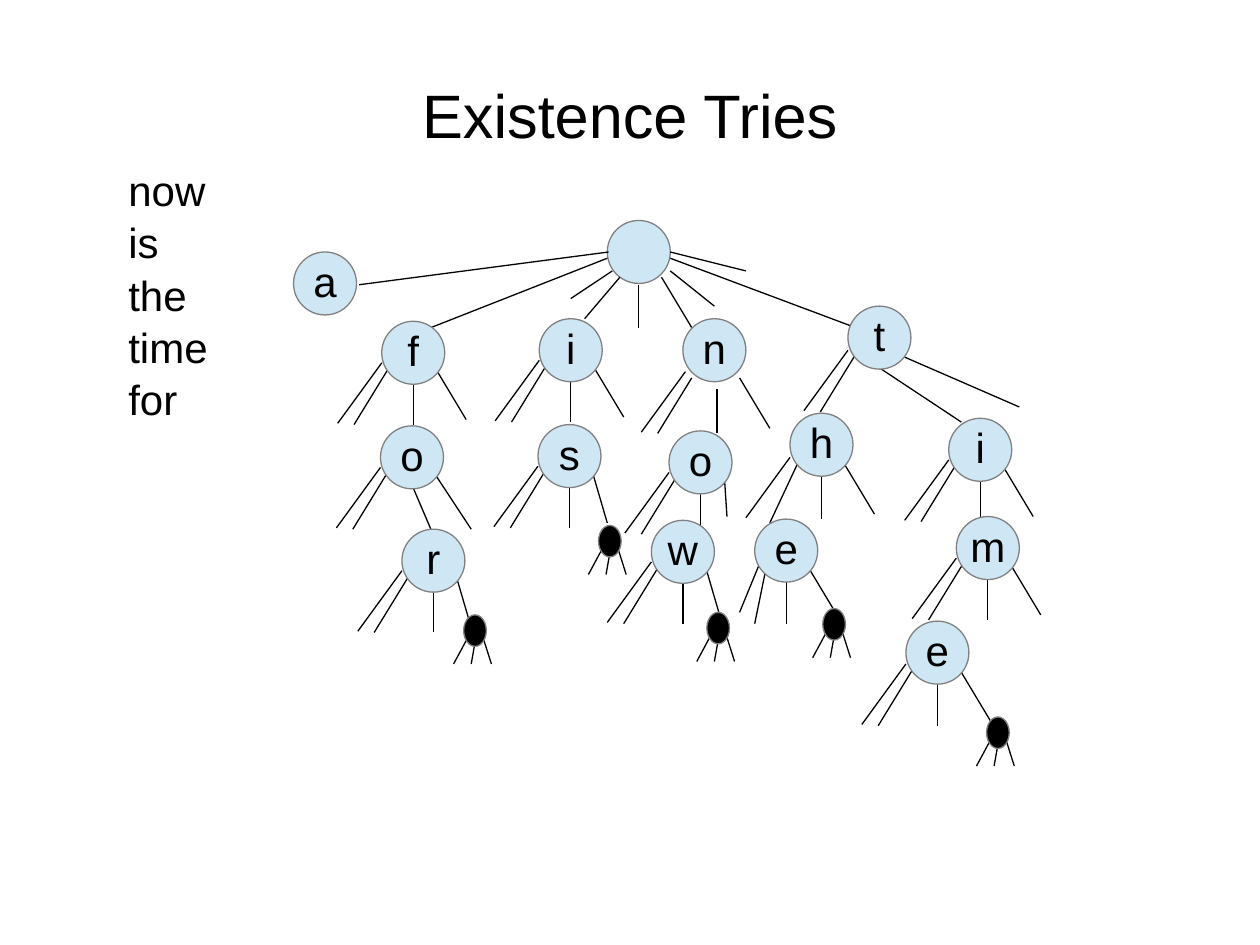
"""Build a slide with a trie of five words drawn as a tree of nodes."""
import pptx
import pptx.util
import pptx.dml.color
import pptx.enum.shapes
import pptx.enum.text
import pptx.oxml.ns
import lxml.etree

Inches = pptx.util.Inches
Pt = pptx.util.Pt
BLACK = pptx.dml.color.RGBColor(0x00, 0x00, 0x00)
BLUE = pptx.dml.color.RGBColor(0xCF, 0xE7, 0xF5)
GRAY = pptx.dml.color.RGBColor(0x80, 0x80, 0x80)

SIZE = 0.5
WORDS = ["now", "is", "the", "time", "for"]
ROOT = (4.82, 1.75)
EDGES = [
    (2.85, 2.26, 4.83, 2.0), (3.42, 2.6, 4.82, 2.05), (4.53, 2.37, 4.86, 2.15),
    (4.64, 2.53, 4.92, 2.2), (5.07, 2.6, 5.07, 2.26), (5.49, 2.6, 5.25, 2.2),
    (5.67, 2.43, 5.32, 2.15), (6.79, 2.6, 5.32, 2.05), (5.92, 2.15, 5.32, 2.0),
]
FAN = {
    "outer": (-0.35, 0.81, 0, 0.33),
    "inner": (-0.22, 0.82, 0.05, 0.38),
    "mid": (0.25, 0.82, 0.25, 0.47),
    "right": (0.67, 0.78, 0.43, 0.38),
}
STEEP = {"right": (0.55, 0.78, 0.43, 0.37)}
NODES = [
    ("f", 3.03, 2.55, 0, 0, {}),
    ("o", 3.02, 3.38, 0, 0, {"mid": (0.4, 0.82, 0.25, 0.47),
                             "right": (0.72, 0.82, 0.43, 0.38)}),
    ("r", 3.19, 4.2, 0, 0, STEEP),
    ("i", 4.28, 2.53, 0, 0, {}),
    ("s", 4.27, 3.37, 0, 0, STEEP),
    ("n", 5.42, 2.53, 0.02, 0.09, {}),
    ("o", 5.31, 3.42, 0, 0, {"right": (0.46, 0.68, 0.44, 0.38)}),
    ("w", 5.17, 4.13, 0, 0, STEEP),
    ("t", 6.73, 2.43, 0, 0.02, {"mid": (0.9, 0.9, 0.25, 0.47),
                                "right": (1.36, 0.78, 0.44, 0.38)}),
    ("h", 6.27, 3.28, 0, 0.02, {"inner": (-0.16, 0.85, 0.06, 0.38)}),
    ("e", 5.99, 4.12, 0, 0.01, {"outer": (-0.12, 0.73, 0.04, 0.34),
                                "inner": (0, 0.82, 0.09, 0.38)}),
    ("i", 7.53, 3.32, 0, 0, {}),
    ("m", 7.59, 4.1, 0, 0, {}),
    ("e", 7.19, 4.93, 0, 0.01, {}),
]
LEAVES = [(3.68, 4.88), (4.75, 4.17), (5.61, 4.86), (6.53, 4.83), (7.83, 5.69)]
ROOTLETS = [(-0.08, 0.39, 0.06, 0.13), (0.06, 0.39, 0.09, 0.22),
            (0.22, 0.39, 0.16, 0.2)]


def style(para, size):
    """Give every run of a paragraph its font."""
    for run in para.runs:
        run.font.name = "Arial"
        run.font.size = Pt(size)
        run.font.color.rgb = BLACK


def add_line(slide, x1, y1, x2, y2):
    """Add a thin black line."""
    kind = pptx.enum.shapes.MSO_CONNECTOR.STRAIGHT
    line = slide.shapes.add_connector(
        kind, Inches(x1), Inches(y1), Inches(x2), Inches(y2))
    line.line.color.rgb = BLACK
    line.line.width = Pt(0.75)
    props = line._element.spPr
    lxml.etree.SubElement(props, pptx.oxml.ns.qn("a:effectLst"))


def add_twigs(slide, x, y, twigs):
    """Add lines placed relative to a point."""
    for x1, y1, x2, y2 in twigs:
        add_line(slide, x + x1, y + y1, x + x2, y + y2)


def add_oval(slide, x, y, wide, high, fill):
    """Add a filled oval with a gray outline."""
    kind = pptx.enum.shapes.MSO_SHAPE.OVAL
    oval = slide.shapes.add_shape(
        kind, Inches(x), Inches(y), Inches(wide), Inches(high))
    oval.shadow.inherit = False
    oval.fill.solid()
    oval.fill.fore_color.rgb = fill
    oval.line.color.rgb = GRAY
    oval.line.width = Pt(0.75)
    return oval


def add_node(slide, text, x, y):
    """Add a round node with its letter."""
    frame = add_oval(slide, x, y, SIZE, SIZE, BLUE).text_frame
    frame.word_wrap = False
    centre(frame, text, 24)


def centre(frame, text, size):
    """Put one centred line of text in a frame."""
    frame.text = text
    frame.vertical_anchor = pptx.enum.text.MSO_ANCHOR.MIDDLE
    para = frame.paragraphs[0]
    para.alignment = pptx.enum.text.PP_ALIGN.CENTER
    para.line_spacing = 0.93
    style(para, size)


def add_box(slide, x, y, wide, high):
    """Add a wrapping text box and return its frame."""
    box = slide.shapes.add_textbox(
        Inches(x), Inches(y), Inches(wide), Inches(high))
    box.text_frame.word_wrap = True
    return box.text_frame


def add_words(slide):
    """Add the list of words held in the trie."""
    frame = add_box(slide, 0.87, 1.24, 2.09, 2.5)
    frame.text = "\n".join(WORDS)
    for para in frame.paragraphs:
        props = para._p.get_or_add_pPr()
        props.set("marL", str(Inches(0.5)))
        props.set("indent", str(Inches(-0.45)))
        para.line_spacing = 1.04
        style(para, 24)


def main():
    """Build and save the slide."""
    deck = pptx.Presentation()
    deck.slide_width = Inches(10)
    deck.slide_height = Inches(7.5)
    slide = deck.slides.add_slide(deck.slide_layouts[6])
    centre(add_box(slide, 0.75, 0.52, 8.5, 0.83), "Existence Tries", 35)
    add_words(slide)
    add_oval(slide, *ROOT, SIZE, SIZE, BLUE)
    add_twigs(slide, 0, 0, EDGES)
    for _, x, y, dx, dy, odd in NODES:
        add_twigs(slide, x + dx, y + dy, (FAN | odd).values())
    for x, y in LEAVES:
        add_twigs(slide, x, y, ROOTLETS)
        add_oval(slide, x, y, 0.18, 0.25, BLACK)
    add_node(slide, "a", 2.33, 2)
    for text, x, y, *_ in NODES:
        add_node(slide, text, x, y)
    deck.save("out.pptx")


if __name__ == "__main__":
    main()
